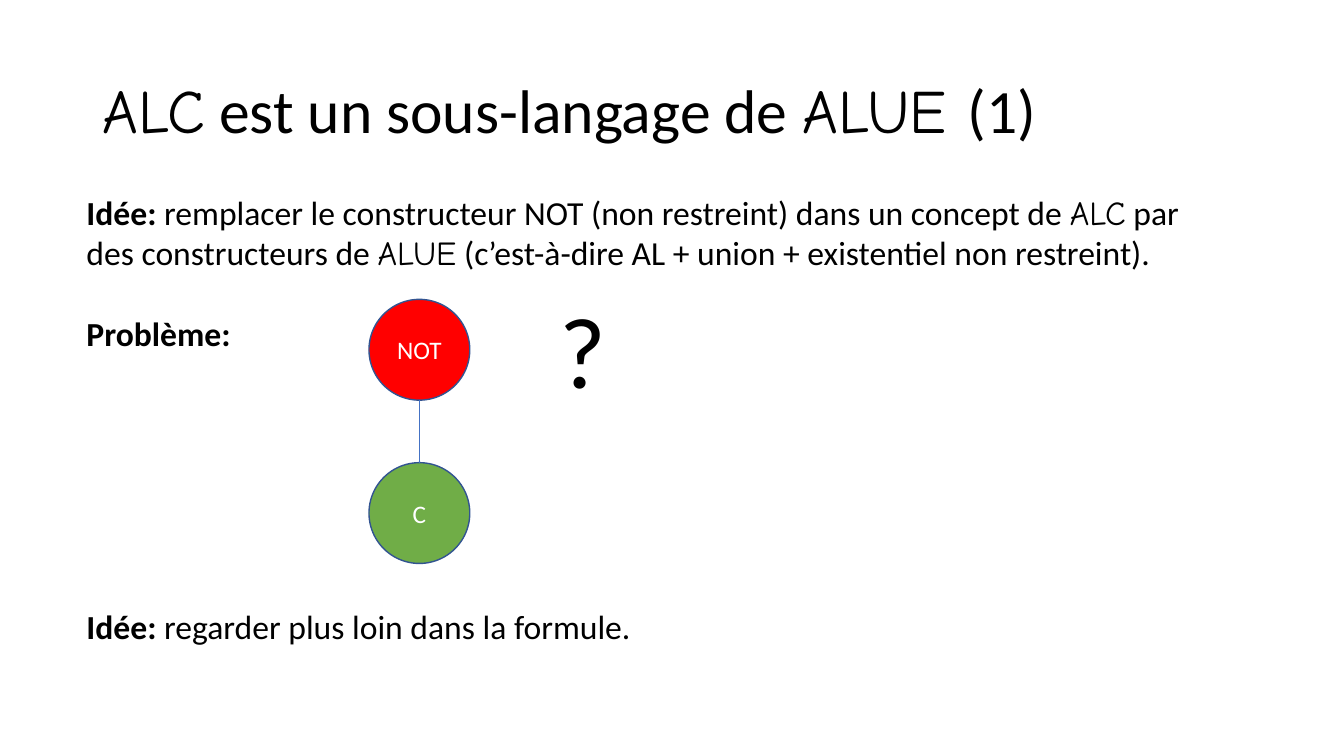
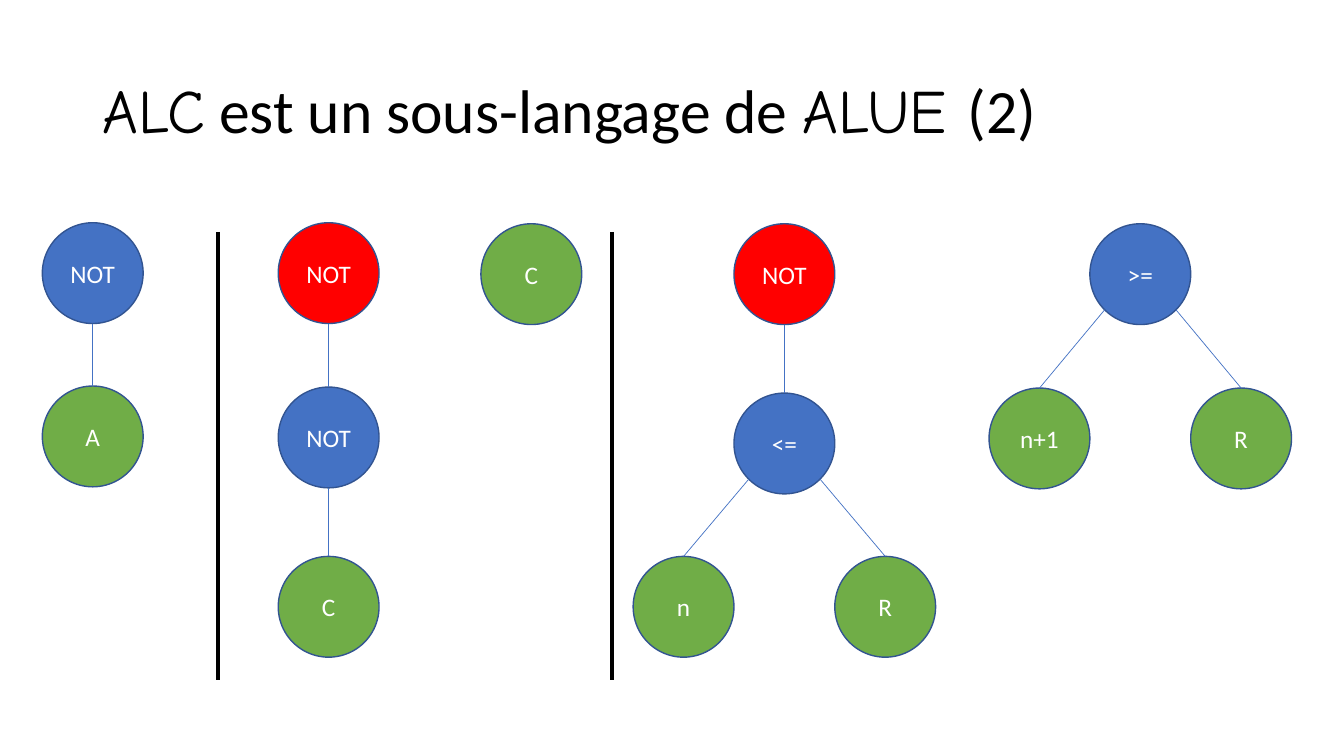
from lxml import etree
from pptx import Presentation
from pptx.dml.color import RGBColor
from pptx.enum.shapes import MSO_CONNECTOR, MSO_SHAPE
from pptx.enum.text import MSO_ANCHOR, PP_ALIGN
from pptx.oxml.ns import qn
from pptx.util import Emu, Pt

STRAIGHT, OVAL = MSO_CONNECTOR.STRAIGHT, MSO_SHAPE.OVAL
TOP, MIDDLE, CENTER = MSO_ANCHOR.TOP, MSO_ANCHOR.MIDDLE, PP_ALIGN.CENTER

# Style: 100 px to the inch
PX = 9144
BLACK, WHITE = "000000", "FFFFFF"
RED, BLUE, GREEN, OUTLINE = "FF0000", "4472C4", "70AD47", "325491"
MAIN, SCRIPT = "Calibri", "Comic Neue"
NODE, SPREAD = 100, 200
# Oval connection sites: bottom left, bottom, bottom right
LOWER_LEFT, BOTTOM, LOWER_RIGHT = 3, 4, 5

# Content: a run is (text, style), where style is "", "b" (bold) or "s" (script font)
TITLE = [("ALC", "s"), (" est un sous-langage de ", ""), ("ALUE ", "s")]
IDEA = [
    [("Idée: ", "b"),
     ("remplacer le constructeur NOT (non restreint) dans un concept de ", ""),
     ("ALC", "s"), (" par des constructeurs de ", ""), ("ALUE", "s"),
     (" (c’est-à-dire AL + union + existentiel non restreint).", "")],
    [("Problème:", "b")],
]
NEXT_IDEA = [[("Idée: ", "b"), ("regarder plus loin dans la formule.", "")]]

# A tree node is (label, colour, top, children); each tree has the left of its root
PROBLEM_TREES = [(366, ("NOT", RED, 297, [("C", GREEN, 459, [])]))]
CASE_TREES = [
    (42, ("NOT", BLUE, 221, [("A", GREEN, 383, [])])),
    (276, ("NOT", RED, 221, [("NOT", BLUE, 384, [("C", GREEN, 552, [])])])),
    (477, ("C", GREEN, 222, [])),
    (728, ("NOT", RED, 222, [
        ("<=", BLUE, 390, [("n", GREEN, 552, []), ("R", GREEN, 552, [])])])),
    (1081, (">=", BLUE, 222, [("n+1", GREEN, 385, []), ("R", GREEN, 385, [])])),
]
DIVIDERS = [216, 607]
DIVIDER_TOP, DIVIDER_BOTTOM = 230, 675


def px(*lengths):
    return [Emu(round(v * PX)) for v in lengths]


def rgb(value):
    return RGBColor.from_string(value)


def add_text(slide, box, paragraphs, size, anchor=TOP, line_spacing=1.0, gap=0):
    tf = slide.shapes.add_textbox(*px(*box)).text_frame
    tf.word_wrap = True
    tf.vertical_anchor = anchor
    for i, runs in enumerate(paragraphs):
        p = tf.add_paragraph() if i else tf.paragraphs[0]
        p.line_spacing = line_spacing
        p.space_before = Pt(gap if i else 0)
        p.font.size = Pt(size)
        p.font.color.rgb = rgb(BLACK)
        for text, style in runs:
            r = p.add_run()
            r.text = text
            r.font.name = SCRIPT if style == "s" else MAIN
            r.font.bold = style == "b"


def add_line(slide, start, end, colour, width):
    line = slide.shapes.add_connector(STRAIGHT, *px(*start, *end))
    line.line.color.rgb = rgb(colour)
    line.line.width = Pt(width)
    etree.SubElement(line.element.spPr, qn("a:effectLst"))
    return line


def add_node(slide, x, y, label, colour):
    sp = slide.shapes.add_shape(OVAL, *px(x, y, NODE, NODE))
    sp.shadow.inherit = False
    sp.fill.solid()
    sp.fill.fore_color.rgb = rgb(colour)
    sp.line.color.rgb = rgb(OUTLINE)
    sp.line.width = Pt(1)
    sp.text_frame.vertical_anchor = MIDDLE
    p = sp.text_frame.paragraphs[0]
    p.text = label
    p.alignment = CENTER
    p.font.name, p.font.size = MAIN, Pt(18)
    p.font.color.rgb = rgb(WHITE)
    return sp


def add_branch(slide, parent, child, x, y, child_x, child_y):
    """Join the rim of the parent circle to the top of its child."""
    r = NODE / 2
    diagonal = r * 0.5 ** 0.5
    site, dx, dy = BOTTOM, 0, r
    if child_x != x:
        site, dx = ((LOWER_LEFT, -diagonal) if child_x < x
                    else (LOWER_RIGHT, diagonal))
        dy = diagonal
    line = add_line(slide, (x + r + dx, y + r + dy), (child_x + r, child_y),
                    BLUE, 0.5)
    # begin_connect knows four sites only, an oval has eight
    start = line.element.nvCxnSpPr.cNvCxnSpPr.get_or_add_stCxn()
    start.id, start.idx = parent.shape_id, site
    line.end_connect(child, 0)


def add_tree(slide, x, tree):
    label, colour, y, children = tree
    parent = add_node(slide, x, y, label, colour)
    for i, child in enumerate(children):
        child_x = x + SPREAD * (i - (len(children) - 1) / 2)
        child_node = add_tree(slide, child_x, child)
        add_branch(slide, parent, child_node, x, y, child_x, child[2])
    return parent


def add_slide(prs, number, trees):
    slide = prs.slides.add_slide(prs.slide_layouts[6])
    add_text(slide, (92, 40, 1150, 145), [TITLE + [(f"({number})", "")]], 44,
             anchor=MIDDLE, line_spacing=0.9)
    for x, tree in trees:
        add_tree(slide, x, tree)
    return slide


def main():
    prs = Presentation()
    prs.slide_width, prs.slide_height = px(1333, 750)

    # Slide 1: the problem
    slide = add_slide(prs, 1, PROBLEM_TREES)
    add_text(slide, (76, 185, 1150, 212), IDEA, 24, gap=29)
    add_text(slide, (545, 281, 70, 131), [[("?", "")]], 72)
    add_text(slide, (76, 596, 1150, 50), NEXT_IDEA, 24)

    # Slide 2: the cases, set apart by dividers
    slide = add_slide(prs, 2, CASE_TREES)
    for x in DIVIDERS:
        add_line(slide, (x, DIVIDER_TOP), (x, DIVIDER_BOTTOM), BLACK, 3)

    prs.save("out.pptx")


if __name__ == "__main__":
    main()
